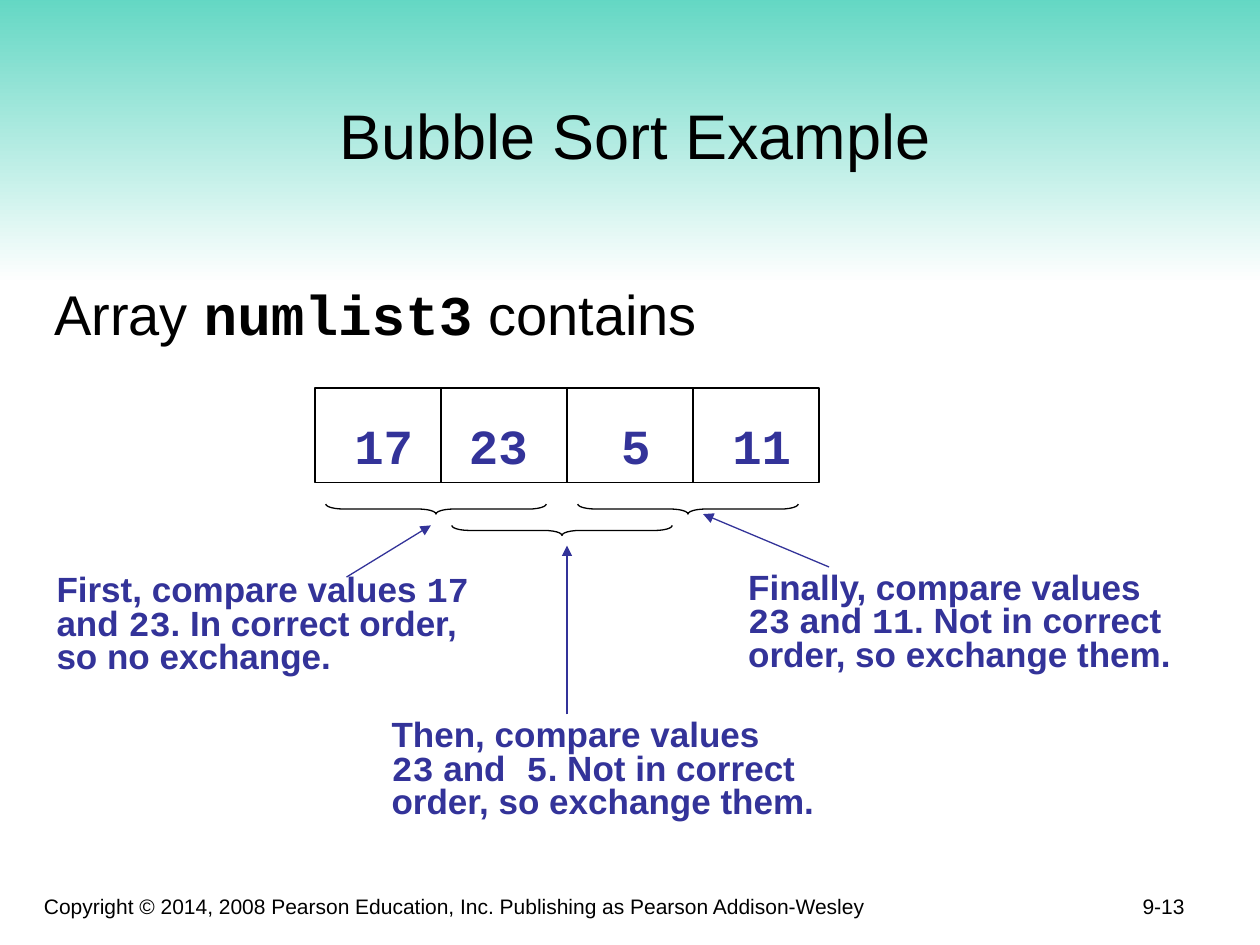
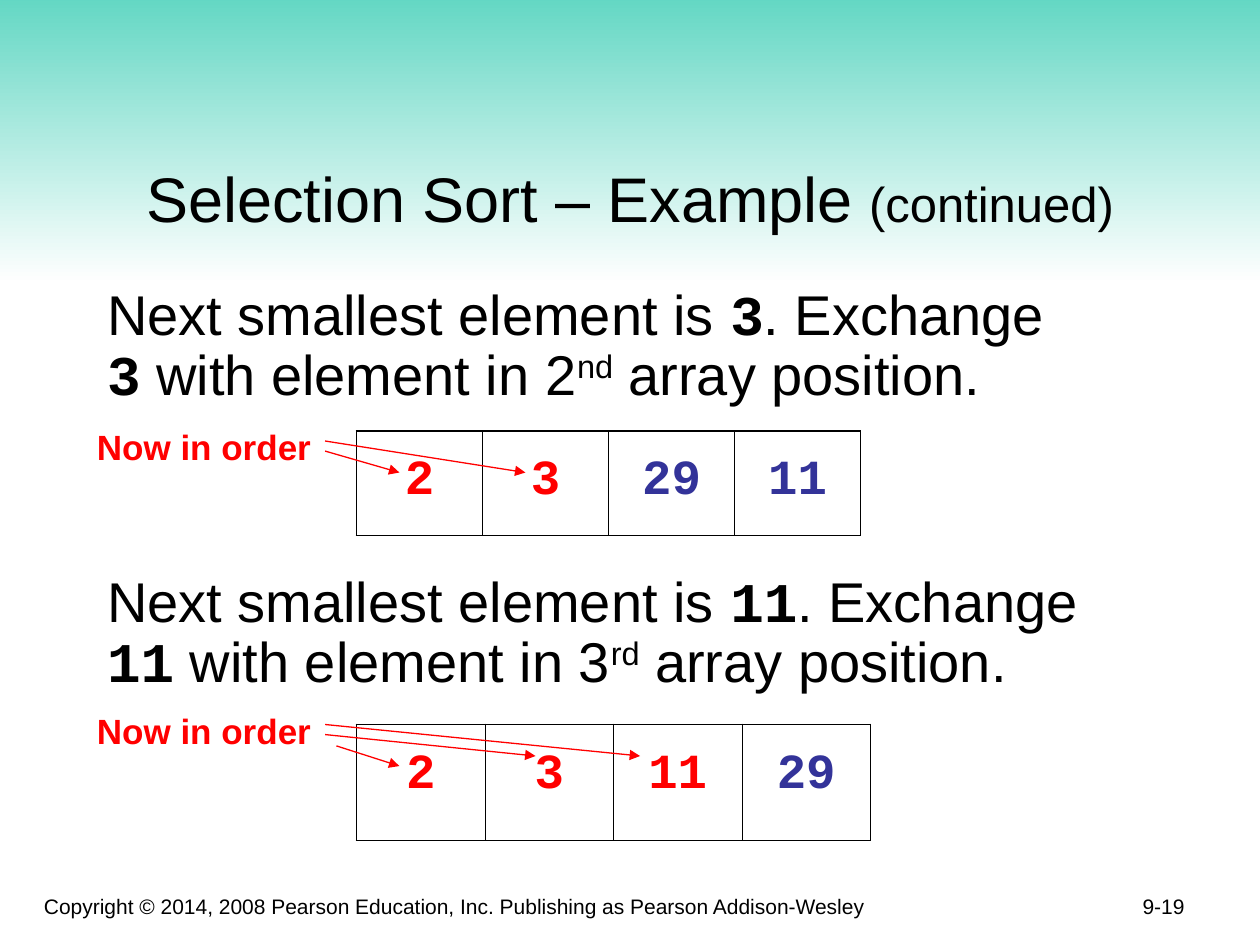
from dataclasses import dataclass
from typing import Any, NamedTuple

import lxml.etree
import pptx
import pptx.dml.color
import pptx.enum.shapes
import pptx.enum.text
import pptx.oxml
import pptx.oxml.ns
import pptx.util

Inches = pptx.util.Inches
Pt = pptx.util.Pt
qn = pptx.oxml.ns.qn
ALIGN = pptx.enum.text.PP_ALIGN
ANCHOR = pptx.enum.text.MSO_ANCHOR
FIT = pptx.enum.text.MSO_AUTO_SIZE
PRESET = pptx.enum.shapes.MSO_SHAPE

BLACK, WHITE, TEAL, INDIGO, RED = "000000", "FFFFFF", "5FD6C2", "333399", "FF0000"
SANS, MONO = "Arial", "Courier New"
COPYRIGHT = "Copyright © 2014, 2008 Pearson Education, Inc. Publishing as Pearson Addison-Wesley"


class Box(NamedTuple):
    left: float
    top: float
    width: float
    height: float


class Arrow(NamedTuple):
    x1: float
    y1: float
    x2: float
    y2: float


class Run(NamedTuple):
    text: str
    mono: bool = False
    size: float | None = None
    raised: bool = False


@dataclass
class Style:
    size: float
    color: str = BLACK
    bold: bool = False
    align: Any = ALIGN.LEFT


@dataclass
class Line:
    runs: list[Run]
    spacing: float = 1.0
    before: float = 0


@dataclass
class Callout:
    box: Box
    lines: list[list[Run]]
    arrow: Arrow


@dataclass
class SortedStep:
    table: Box
    values: list[str]
    ordered: int
    label: Box
    arrows: list[Arrow]


TITLE = Style(36, align=ALIGN.CENTER)
BODY = Style(32)
FOOTER = Style(12)
PAGE = Style(12, align=ALIGN.RIGHT)
NOTE = Style(20, INDIGO, True)
ORDER_LABEL = Style(20, RED, True)
VALUE = Style(28, INDIGO, True, ALIGN.CENTER)
ORDERED_VALUE = Style(28, RED, True, ALIGN.CENTER)


def rgb(color: str) -> pptx.dml.color.RGBColor:
    return pptx.dml.color.RGBColor.from_string(color)


def assign(target: Any, values: dict[str, Any]) -> None:
    for name, value in values.items():
        setattr(target, name, value)


def inches(lengths: tuple[float, ...]) -> list[int]:
    return [Inches(length) for length in lengths]


def write(frame: Any, lines: list[Line], style: Style) -> None:
    for index, line in enumerate(lines):
        paragraph = frame.paragraphs[0] if index == 0 else frame.add_paragraph()
        properties = paragraph._p.get_or_add_pPr()
        assign(paragraph, {
            "alignment": style.align, "line_spacing": line.spacing,
            "space_before": Pt(line.before), "space_after": Pt(0),
        })
        properties.set("marL", "0")
        properties.set("indent", "0")
        lxml.etree.SubElement(properties, qn("a:buNone"))
        for part in line.runs:
            run = paragraph.add_run()
            run.text = part.text
            assign(run.font, {
                "name": MONO if part.mono else SANS,
                "size": Pt(part.size or style.size),
                "bold": style.bold or part.mono,
            })
            run.font.color.rgb = rgb(style.color)
            if part.raised:
                run.font._element.set("baseline", "30000")


def add_text(slide: Any, box: Box, lines: list[Line], style: Style,
             anchor: Any = ANCHOR.TOP, wrap: bool = True) -> Any:
    text = slide.shapes.add_textbox(*inches(box))
    assign(text.text_frame, {"word_wrap": wrap, "vertical_anchor": anchor, "auto_size": FIT.NONE})
    write(text.text_frame, lines, style)
    return text


def fill_placeholder(holder: Any, box: Box, lines: list[Line], style: Style,
                     anchor: Any, right: float) -> None:
    assign(holder, dict(zip(("left", "top", "width", "height"), inches(box))))
    assign(holder.text_frame, {
        "vertical_anchor": anchor, "auto_size": FIT.NONE, "word_wrap": True,
        "margin_left": Inches(0.1), "margin_right": Inches(right),
        "margin_top": Inches(0.05), "margin_bottom": Inches(0.05),
    })
    write(holder.text_frame, lines, style)


def add_outline(slide: Any, preset: Any, box: Box) -> Any:
    shape = slide.shapes.add_shape(preset, *inches(box))
    shape.shadow.inherit = False
    shape.fill.background()
    shape.line.color.rgb = rgb(BLACK)
    shape.line.width = Pt(0.75)
    return shape


def add_brace(slide: Any, center: float, middle: float) -> None:
    thickness, span = 0.08, 1.75
    brace = add_outline(slide, PRESET.RIGHT_BRACE, Box(
        center - thickness / 2, middle - span / 2, thickness, span))
    brace.rotation = 90
    brace.adjustments[0] = 1.75


def add_arrow(slide: Any, arrow: Arrow, color: str) -> None:
    connector = slide.shapes.add_connector(
        pptx.enum.shapes.MSO_CONNECTOR.STRAIGHT, *inches(arrow))
    connector.line.color.rgb = rgb(color)
    connector.line.width = Pt(0.75)
    line = connector.line._get_or_add_ln()
    lxml.etree.SubElement(line, qn("a:tailEnd"), type="triangle")
    lxml.etree.SubElement(connector._element.spPr, qn("a:effectLst"))


def add_border(cell: Any, position: int, side: str, width: float) -> None:
    line = lxml.etree.Element(qn(f"a:ln{side}"), w=str(Pt(width)))
    fill = lxml.etree.SubElement(line, qn("a:solidFill"))
    lxml.etree.SubElement(fill, qn("a:srgbClr"), val=BLACK)
    cell._tc.get_or_add_tcPr().insert(position, line)


def add_sorted_step(slide: Any, step: SortedStep) -> None:
    count = len(step.values)
    table = slide.shapes.add_table(1, count, *inches(step.table)).table
    assign(table, {"first_row": False, "horz_banding": False})
    for index, value in enumerate(step.values):
        cell = table.cell(0, index)
        cell.fill.background()
        write(cell.text_frame, [Line([Run(value, True)], 1.3)],
              ORDERED_VALUE if index < step.ordered else VALUE)
        widths = {"L": 1.08 if index == 0 else 0.45,
                  "R": 1.08 if index == count - 1 else 0.45, "T": 1.08, "B": 1.08}
        for position, (side, width) in enumerate(widths.items()):
            add_border(cell, position, side, width)
    add_text(slide, step.label, [Line([Run("Now in order")])], ORDER_LABEL)
    for arrow in step.arrows:
        add_arrow(slide, arrow, RED)


def add_master_parts(deck: Any, slide: Any) -> None:
    band = slide.shapes.add_shape(PRESET.RECTANGLE, *inches((0, -0.08, 10, 2.33)))
    band.shadow.inherit = False
    band.line.fill.background()
    band.fill.gradient()
    band.fill.gradient_angle = 270
    for stop, color in zip(band.fill.gradient_stops, (TEAL, WHITE)):
        stop.color.rgb = rgb(color)
    footer = add_text(slide, Box(0.25, 6.92, 6.75, 0.42), [Line([Run(COPYRIGHT)])],
                      FOOTER, ANCHOR.BOTTOM)
    tree = deck.slide_master.shapes._spTree
    for offset, part in enumerate((band, footer)):
        part._element.nvSpPr.cNvPr.set("id", str(100 + offset))
        tree.insert(2 + offset, part._element)


def start_slide(deck: Any, title: list[Run], title_box: Box, body: list[Line],
                body_box: Box, page: str) -> Any:
    slide = deck.slides.add_slide(deck.slide_layouts[1])
    fill_placeholder(slide.shapes.title, title_box, [Line(title)], TITLE, ANCHOR.BOTTOM, 0.1)
    fill_placeholder(slide.placeholders[1], body_box, body, BODY, ANCHOR.TOP, 0)
    add_text(slide, Box(7.42, 6.84, 2.08, 0.5), [Line([Run(page)])], PAGE, ANCHOR.BOTTOM)
    return slide


def build_bubble_sort(deck: Any) -> Any:
    slide = start_slide(
        deck, [Run("Bubble Sort Example")], Box(0.33, 0.33, 9.42, 1.09),
        [Line([Run("Array "), Run("numlist3", True), Run(" contains")])],
        Box(0.33, 2.17, 9.67, 4.5), "9-13")
    callouts = [
        Callout(Box(0.35, 4.52, 3.55, 0.9), [
            [Run("First, compare values "), Run("17", True)],
            [Run("and "), Run("23", True), Run(". In correct order,")],
            [Run("so no exchange.")],
        ], Arrow(2.75, 4.58, 3.42, 4.17)),
        Callout(Box(5.84, 4.5, 3.57, 0.9), [
            [Run("Finally, compare values")],
            [Run("23", True), Run(" and "), Run("11", True), Run(". Not in correct")],
            [Run("order, so exchange them.")],
        ], Arrow(6.58, 4.5, 5.58, 4.08)),
        Callout(Box(3.01, 5.67, 3.57, 0.9), [
            [Run("Then, compare values")],
            [Run("23", True), Run(" and"), Run(" 5", True), Run(". Not in correct")],
            [Run("order, so exchange them.")],
        ], Arrow(4.5, 5.67, 4.5, 4.33)),
    ]
    for callout in callouts:
        add_text(slide, callout.box, [Line(runs, 0.8) for runs in callout.lines],
                 NOTE, wrap=False)
        add_arrow(slide, callout.arrow, INDIGO)
    for index, middle in enumerate((4.04, 4.21, 4.04)):
        add_brace(slide, 3.46 + index, middle)
    for index, (value, shift) in enumerate(
            (("17", 0.17), ("23", 0.08), ("5", 0.17), ("11", 0.17))):
        left = 2.5 + index
        add_outline(slide, PRESET.RECTANGLE, Box(left, 3.08, 1, 0.75))
        add_text(slide, Box(left + shift, 3.25, 0.75, 0.57), [Line([Run(value, True)])], VALUE)
    return slide


def exchange_lines(value: str, position: str, suffix: str, before: float) -> list[Line]:
    return [
        Line([Run("Next smallest element is "), Run(value, True), Run(". Exchange")],
             before=before),
        Line([Run(value, True), Run(f" with element in {position}"),
              Run(suffix, raised=True), Run(" array position.")], 0.9),
    ]


def build_selection_sort(deck: Any) -> None:
    slide = start_slide(
        deck, [Run("Selection Sort – Example"), Run(" ", size=32), Run("(continued)", size=28)],
        Box(0, 0.67, 10, 1.25),
        exchange_lines("3", "2", "nd", 0) + exchange_lines("11", "3", "rd", 91),
        Box(0.75, 2.17, 8.75, 4.67), "9-19")
    steps = [
        SortedStep(Box(2.83, 3.42, 4, 0.83), ["2", "3", "29", "11"], 2,
                   Box(0.67, 3.33, 2.08, 0.44),
                   [Arrow(2.58, 3.58, 3.17, 3.75), Arrow(2.58, 3.5, 4.17, 3.75)]),
        SortedStep(Box(2.83, 5.75, 4.08, 0.92), ["2", "3", "11", "29"], 3,
                   Box(0.67, 5.58, 2.08, 0.44),
                   [Arrow(2.58, 5.75, 5.08, 6), Arrow(2.58, 5.83, 4.25, 6),
                    Arrow(2.67, 5.92, 3.17, 6.08)]),
    ]
    for step in steps:
        add_sorted_step(slide, step)


def main() -> None:
    deck = pptx.Presentation()
    assign(deck, {"slide_width": Inches(10), "slide_height": Inches(7.5)})
    add_master_parts(deck, build_bubble_sort(deck))
    build_selection_sort(deck)
    deck.save("out.pptx")


if __name__ == "__main__":
    main()
